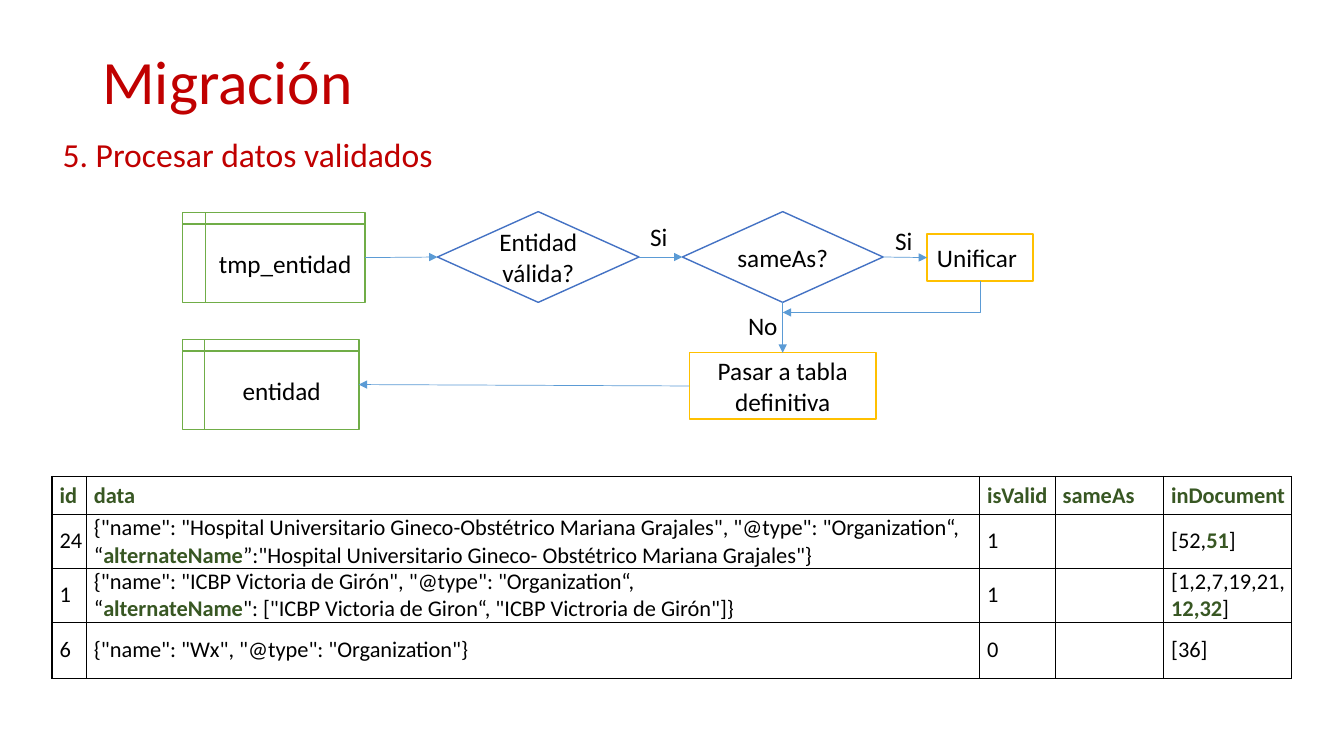
from dataclasses import dataclass

import pptx
import pptx.dml.color
import pptx.enum.shapes
import pptx.enum.text
import pptx.oxml
import pptx.oxml.ns
import pptx.util

Pt = pptx.util.Pt
RGBColor = pptx.dml.color.RGBColor
MSO_SHAPE = pptx.enum.shapes.MSO_SHAPE
CONNECTOR = pptx.enum.shapes.MSO_CONNECTOR
ANCHOR = pptx.enum.text.MSO_ANCHOR
ALIGN = pptx.enum.text.PP_ALIGN
qn = pptx.oxml.ns.qn

FONT = "Calibri"
BLACK = RGBColor(0x00, 0x00, 0x00)
WHITE = RGBColor(0xFF, 0xFF, 0xFF)
RED = RGBColor(0xC0, 0x00, 0x00)
BLUE = RGBColor(0x44, 0x72, 0xC4)
SKY = RGBColor(0x5B, 0x9B, 0xD5)
GREEN = RGBColor(0x70, 0xAD, 0x47)
DARK_GREEN = RGBColor(0x38, 0x57, 0x23)
AMBER = RGBColor(0xFF, 0xC0, 0x00)

TOP, LEFT, BOTTOM, RIGHT = range(4)
NARROW = (2.9, 3.6)
NORMAL = (7.2, 3.6)


@dataclass
class Node:
    kind: MSO_SHAPE
    text: str
    left: float
    top: float
    width: float
    height: float
    line: RGBColor
    margins: tuple[float, float] = NARROW
    align: ALIGN = ALIGN.CENTER


@dataclass
class Label:
    text: str
    left: float
    top: float
    width: float = 40
    height: float = 29
    size: float = 18
    color: RGBColor = BLACK
    margins: tuple[float, float] = NARROW
    anchor: ANCHOR = ANCHOR.TOP
    spacing: float = 1.0


@dataclass
class Arrow:
    start: str
    start_side: int
    end: str
    end_side: int


NODES = {
    "tmp": Node(MSO_SHAPE.FLOWCHART_INTERNAL_STORAGE, "tmp_entidad", 130.3, 152, 130.5, 64, GREEN),
    "entidad": Node(MSO_SHAPE.FLOWCHART_INTERNAL_STORAGE, "entidad", 130.3, 242.7, 126, 64, GREEN),
    "valida": Node(MSO_SHAPE.DIAMOND, "Entidad válida?", 312.5, 151.2, 144, 64.8, BLUE),
    "same_as": Node(MSO_SHAPE.DIAMOND, "sameAs?", 487.4, 151.2, 143.4, 64.8, BLUE),
    "unificar": Node(MSO_SHAPE.RECTANGLE, "Unificar", 662.2, 167.2, 75.6, 33.6, AMBER, NORMAL, ALIGN.LEFT),
    "pasar": Node(MSO_SHAPE.RECTANGLE, "Pasar a tabla definitiva", 492.5, 252, 133.2, 47.4, AMBER, NORMAL),
}
LABELS = [
    Label("Migración", 66, 28.8, 828, 62.6, 44, RED, NORMAL, ANCHOR.MIDDLE, 0.9),
    Label("5. Procesar datos validados", 41.8, 92.2, 500, 36, 24, RED),
    Label("Si", 461.5, 154.8),
    Label("Si", 636.5, 157.7),
    Label("No", 531.4, 218.2),
]
ARROWS = [
    Arrow("tmp", RIGHT, "valida", LEFT),
    Arrow("valida", RIGHT, "same_as", LEFT),
    Arrow("same_as", RIGHT, "unificar", LEFT),
    Arrow("same_as", BOTTOM, "pasar", TOP),
    Arrow("pasar", LEFT, "entidad", RIGHT),
]
COLUMN_WIDTHS = [24.5, 638, 54, 77.5, 91.5]
ROW_HEIGHTS = [27, 38.5, 38.5, 40]
# Text between asterisks is bold and green; a line feed starts a paragraph.
ROWS = [
    ["*id*", "*data*", "*isValid*", "*sameAs*", "*inDocument*"],
    ["24",
     '{"name": "Hospital Universitario Gineco-Obstétrico Mariana Grajales", "@type": "Organization“, '
     '“*alternateName*”:"Hospital Universitario Gineco- Obstétrico Mariana Grajales"}',
     "1", "", "[52,*51*]"],
    ["1",
     '{"name": "ICBP Victoria de Girón", "@type": "Organization“,\n'
     '“*alternateName*": ["ICBP Victoria de Giron“, "ICBP Victroria de Girón"]}',
     "1", "", "[1,2,7,19,21,*12,32*]"],
    ["6", '{"name": "Wx", "@type": "Organization"}', "0", "", "[36]"],
]


def set_font(font, size: float, color: RGBColor) -> None:
    font.name = FONT
    font.size = Pt(size)
    font.color.rgb = color


def set_margins(tf, margins: tuple[float, float]) -> None:
    tf.margin_left = tf.margin_right = Pt(margins[0])
    tf.margin_top = tf.margin_bottom = Pt(margins[1])


def draw_label(shapes, label: Label) -> None:
    sp = shapes.add_textbox(Pt(label.left), Pt(label.top), Pt(label.width), Pt(label.height))
    tf = sp.text_frame
    tf.word_wrap = True
    tf.vertical_anchor = label.anchor
    set_margins(tf, label.margins)
    p = tf.paragraphs[0]
    p.text = label.text
    p.line_spacing = label.spacing
    set_font(p.font, label.size, label.color)


def draw_node(shapes, node: Node):
    sp = shapes.add_shape(node.kind, Pt(node.left), Pt(node.top), Pt(node.width), Pt(node.height))
    sp.shadow.inherit = False
    sp.fill.solid()
    sp.fill.fore_color.rgb = WHITE
    sp.line.color.rgb = node.line
    sp.line.width = Pt(1)
    tf = sp.text_frame
    tf.word_wrap = True
    tf.vertical_anchor = ANCHOR.MIDDLE
    set_margins(tf, node.margins)
    p = tf.paragraphs[0]
    p.text = node.text
    p.alignment = node.align
    set_font(p.font, 18, BLACK)
    return sp


def add_arrow(shapes, kind: CONNECTOR, start, start_side: int):
    cxn = shapes.add_connector(kind, 0, 0, 0, 0)
    cxn.begin_connect(start, start_side)
    cxn.line.color.rgb = SKY
    cxn.line.width = Pt(0.5)
    ln = cxn.line._get_or_add_ln()
    pptx.oxml.ns.qn("a:tailEnd")
    ln.append(ln.makeelement(qn("a:tailEnd"), {"type": "triangle"}))
    sp_pr = cxn._element.spPr
    sp_pr.append(sp_pr.makeelement(qn("a:effectLst"), {}))
    return cxn


def draw_return_arrow(shapes, start, target: Node) -> None:
    """Goes down from start, then left to the line below the target."""
    cxn = add_arrow(shapes, CONNECTOR.ELBOW, start, BOTTOM)
    x1, y1 = start.left + start.width // 2, start.top + start.height
    x2, y2 = Pt(target.left + target.width / 2), Pt(223.2)
    # The frame is turned a quarter about its centre, so its sides swap.
    cxn.width, cxn.height = y2 - y1, x1 - x2
    cxn.left = (x1 + x2 - cxn.width) // 2
    cxn.top = (y1 + y2 - cxn.height) // 2
    sp_pr = cxn._element.spPr
    xfrm = sp_pr.find(qn("a:xfrm"))
    for flip in ("flipH", "flipV"):
        xfrm.attrib.pop(flip, None)
    xfrm.set("rot", str(90 * 60000))
    sp_pr.find(qn("a:prstGeom")).set("prst", "bentConnector2")


def set_borders(cell) -> None:
    tc_pr = cell._tc.get_or_add_tcPr()
    for side in ("lnL", "lnR", "lnT", "lnB"):
        ln = tc_pr.makeelement(qn(f"a:{side}"), {"w": str(Pt(1))})
        fill = ln.makeelement(qn("a:solidFill"), {})
        fill.append(fill.makeelement(qn("a:srgbClr"), {"val": str(BLACK)}))
        ln.append(fill)
        tc_pr.append(ln)


def fill_cell(cell, text: str) -> None:
    set_borders(cell)
    cell.fill.background()
    cell.vertical_anchor = ANCHOR.MIDDLE
    cell.margin_left = Pt(5.4)
    cell.margin_right = cell.margin_top = cell.margin_bottom = 0
    tf = cell.text_frame
    for i, line in enumerate(text.split("\n")):
        p = tf.add_paragraph() if i else tf.paragraphs[0]
        for j, part in enumerate(line.split("*")):
            if part:
                r = p.add_run()
                r.text = part
                r.font.bold = j % 2 == 1
                set_font(r.font, 16, DARK_GREEN if r.font.bold else BLACK)


def draw_table(shapes) -> None:
    frame = shapes.add_table(len(ROWS), len(COLUMN_WIDTHS), Pt(37.2), Pt(340.4),
                             Pt(sum(COLUMN_WIDTHS)), Pt(sum(ROW_HEIGHTS)))
    table = frame.table
    table.first_row = table.horz_banding = False
    for column, width in zip(table.columns, COLUMN_WIDTHS):
        column.width = Pt(width)
    for row, height, texts in zip(table.rows, ROW_HEIGHTS, ROWS):
        row.height = Pt(height)
        for cell, text in zip(row.cells, texts):
            fill_cell(cell, text)


def main() -> None:
    prs = pptx.Presentation()
    prs.slide_width, prs.slide_height = Pt(960), Pt(540)
    s = prs.slides.add_slide(prs.slide_layouts[6])
    nodes = {name: draw_node(s.shapes, node) for name, node in NODES.items()}
    for arrow in ARROWS:
        cxn = add_arrow(s.shapes, CONNECTOR.STRAIGHT, nodes[arrow.start], arrow.start_side)
        cxn.end_connect(nodes[arrow.end], arrow.end_side)
    draw_return_arrow(s.shapes, nodes["unificar"], NODES["same_as"])
    for label in LABELS:
        draw_label(s.shapes, label)
    draw_table(s.shapes)
    prs.save("out.pptx")


if __name__ == "__main__":
    main()
